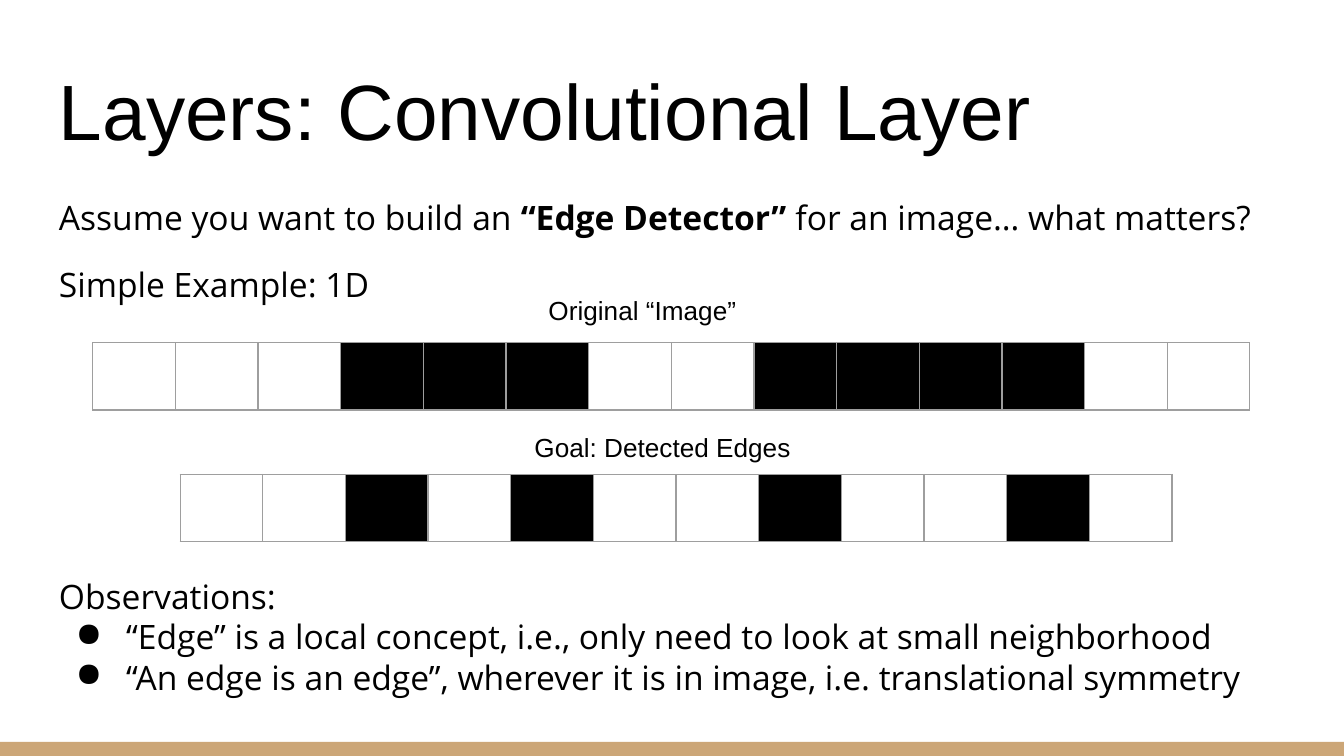
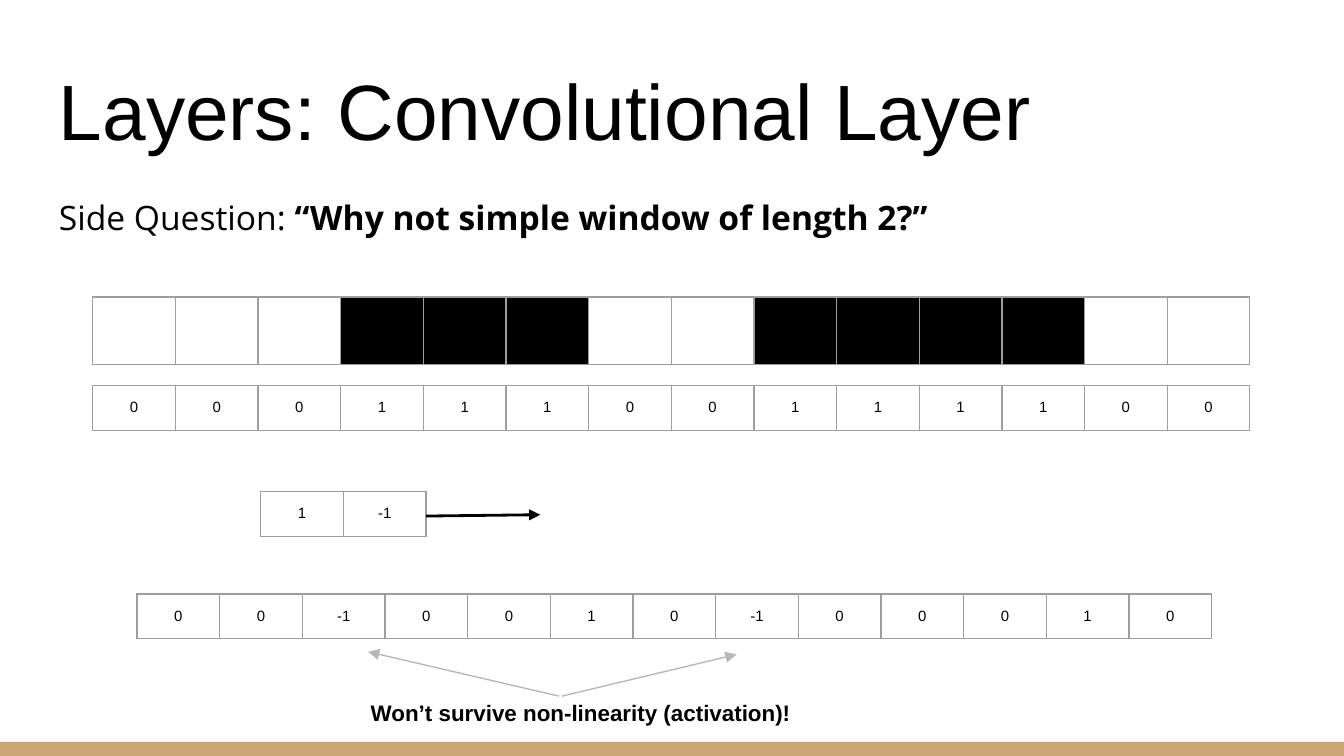
from lxml import etree
from pptx import Presentation
from pptx import util as u
from pptx.dml.color import RGBColor
from pptx.enum import shapes, text
from pptx.oxml import ns

PX = 4572
BLACK = RGBColor(0x00, 0x00, 0x00)
WHITE = RGBColor(0xFF, 0xFF, 0xFF)
TAN = RGBColor(0xCC, 0xA6, 0x77)
GRID = RGBColor(0x9E, 0x9E, 0x9E)
PALE = RGBColor(0xB7, 0xB7, 0xB7)
HEAD, BODY = "Arial", "Open Sans"
LEFT, WIDE, CELL, PAD = 68, 1950, 123, 20
TALL, LOW = 95, 65
IMAGE = [0, 0, 0, 1, 1, 1, 0, 0, 1, 1, 1, 1, 0, 0]
EDGES = [0, 0, 1, 0, 1, 0, 0, 1, 0, 0, 1, 0]
DIFFS = [0, 0, -1, 0, 0, 1, 0, -1, 0, 0, 0, 1, 0]


def px(*nums):
    """Turn px into EMU."""
    return [u.Emu(n * PX) for n in nums]


def sub(node, tag, **attrs):
    """Append a child element with the given attributes."""
    return etree.SubElement(node, ns.qn(tag), attrs)


def style(run, size, face, bold=False):
    """Format one run."""
    font = run.font
    font.size, font.name, font.bold = u.Pt(size), face, bold
    font.color.rgb = BLACK


def add_text(slide, box, lines, size, face, bold=False, align=None,
             anchor=text.MSO_ANCHOR.TOP, space=1.0):
    """Add a text box with one paragraph per line."""
    frame = slide.shapes.add_textbox(*px(*box)).text_frame
    frame.word_wrap = True
    frame.vertical_anchor = anchor
    frame.margin_left, frame.margin_right = px(PAD, PAD)
    frame.margin_top, frame.margin_bottom = px(PAD, PAD)
    frame.text = "\n".join(lines)
    for para in frame.paragraphs:
        para.alignment = align
        para.line_spacing = space
        for run in para.runs:
            style(run, size, face, bold)
    return frame


def add_lead(slide, top, *parts):
    """Add a body line whose every second part is bold."""
    box = (LEFT, top, WIDE, 100)
    para = add_text(slide, box, [""], 18, BODY, space=1.08).paragraphs[0]
    for i, part in enumerate(parts):
        run = para.add_run()
        run.text = part
        style(run, 18, BODY, i % 2 == 1)


def add_bullet(para):
    """Give a paragraph a hanging round bullet."""
    props = para._p.get_or_add_pPr()
    props.set("marL", str(100 * PX))
    props.set("indent", str(-75 * PX))
    color = sub(props, "a:buClr")
    sub(color, "a:srgbClr", val=str(BLACK))
    sub(props, "a:buChar", char="●")


def add_border(cell):
    """Draw a thin grid line on all four sides of a cell."""
    props = cell._tc.get_or_add_tcPr()
    for side in "LRTB":
        line = sub(props, f"a:ln{side}", w=str(u.Pt(0.75)))
        fill = sub(line, "a:solidFill")
        sub(fill, "a:srgbClr", val=str(GRID))


def add_row(slide, left, top, high, vals, paint=False):
    """Add a one-row table, painted as pixels or filled with numbers."""
    box = px(left, top, CELL * len(vals), high)
    table = slide.shapes.add_table(1, len(vals), *box).table
    table.first_row = table.horz_banding = False
    for col, cell, val in zip(table.columns, table.iter_cells(), vals):
        col.width = u.Emu(CELL * PX)
        cell.margin_left, cell.margin_right = px(PAD, PAD)
        cell.margin_top, cell.margin_bottom = px(PAD, PAD)
        add_border(cell)
        cell.fill.solid()
        cell.fill.fore_color.rgb = BLACK if paint and val else WHITE
        if not paint:
            para = cell.text_frame.paragraphs[0]
            para.text = str(val)
            para.alignment = text.PP_ALIGN.CENTER
            style(para.runs[0], 8, HEAD)


def add_arrow(slide, ends, color, width):
    """Add a straight arrow."""
    kind = shapes.MSO_CONNECTOR.STRAIGHT
    arrow = slide.shapes.add_connector(kind, *px(*ends))
    arrow.line.color.rgb = color
    arrow.line.width = u.Pt(width)
    sub(arrow.line._get_or_add_ln(), "a:tailEnd", type="triangle")
    sub(arrow._element.spPr, "a:effectLst")


def add_slide(deck):
    """Add a slide with the shared title and bottom band."""
    slide = deck.slides.add_slide(deck.slide_layouts[6])
    kind = shapes.MSO_SHAPE.RECTANGLE
    band = slide.shapes.add_shape(kind, *px(0, 1104, 2000, 21))
    band.shadow.inherit = False
    band.fill.solid()
    band.fill.fore_color.rgb = TAN
    band.line.fill.background()
    add_text(slide, (LEFT, 70, 1864, 182), ["Layers: Convolutional Layer"],
             42, HEAD, anchor=text.MSO_ANCHOR.BOTTOM)
    return slide


def add_goal(deck):
    """Build the slide on the edge detector."""
    slide = add_slide(deck)
    add_lead(slide, 268, "Assume you want to build an ", "“Edge Detector” ",
             "for an image… what matters?")
    add_lead(slide, 368, "Simple Example: 1D")
    notes = add_text(slide, (LEFT, 837, WIDE, 244), [
        "Observations:",
        "“Edge” is a local concept, i.e., only need to look at small neighborhood",
        "“An edge is an edge”, wherever it is in image, i.e. translational symmetry",
    ], 18, BODY)
    for para in notes.paragraphs[1:]:
        add_bullet(para)
    add_row(slide, 138, 510, TALL, IMAGE, paint=True)
    add_row(slide, 268, 706, TALL, EDGES, paint=True)
    for left, top, label in ((724, 418, "Original “Image”"),
                             (754, 622, "Goal: Detected Edges")):
        add_text(slide, (left, top, 464, 72), [label], 14, HEAD,
                 align=text.PP_ALIGN.CENTER)


def add_window(deck):
    """Build the slide on the window of length two."""
    slide = add_slide(deck)
    add_lead(slide, 268, "Side Question: ",
             "“Why not simple window of length 2?”")
    add_row(slide, 138, 442, TALL, IMAGE, paint=True)
    add_row(slide, 138, 574, LOW, IMAGE)
    add_row(slide, 388, 732, LOW, [1, -1])
    add_row(slide, 204, 884, LOW, DIFFS)
    add_arrow(slide, (634, 768, 804, 766), BLACK, 1.5)
    add_arrow(slide, (832, 1036, 548, 970), PALE, 0.75)
    add_arrow(slide, (836, 1036, 1096, 974), PALE, 0.75)
    add_text(slide, (532, 1020, 830, 60),
             ["Won’t survive non-linearity (activation)!"], 12, HEAD, bold=True)


def main():
    """Build and save the deck."""
    deck = Presentation()
    deck.slide_width, deck.slide_height = px(2000, 1125)
    add_goal(deck)
    add_window(deck)
    deck.save("out.pptx")


if __name__ == "__main__":
    main()
